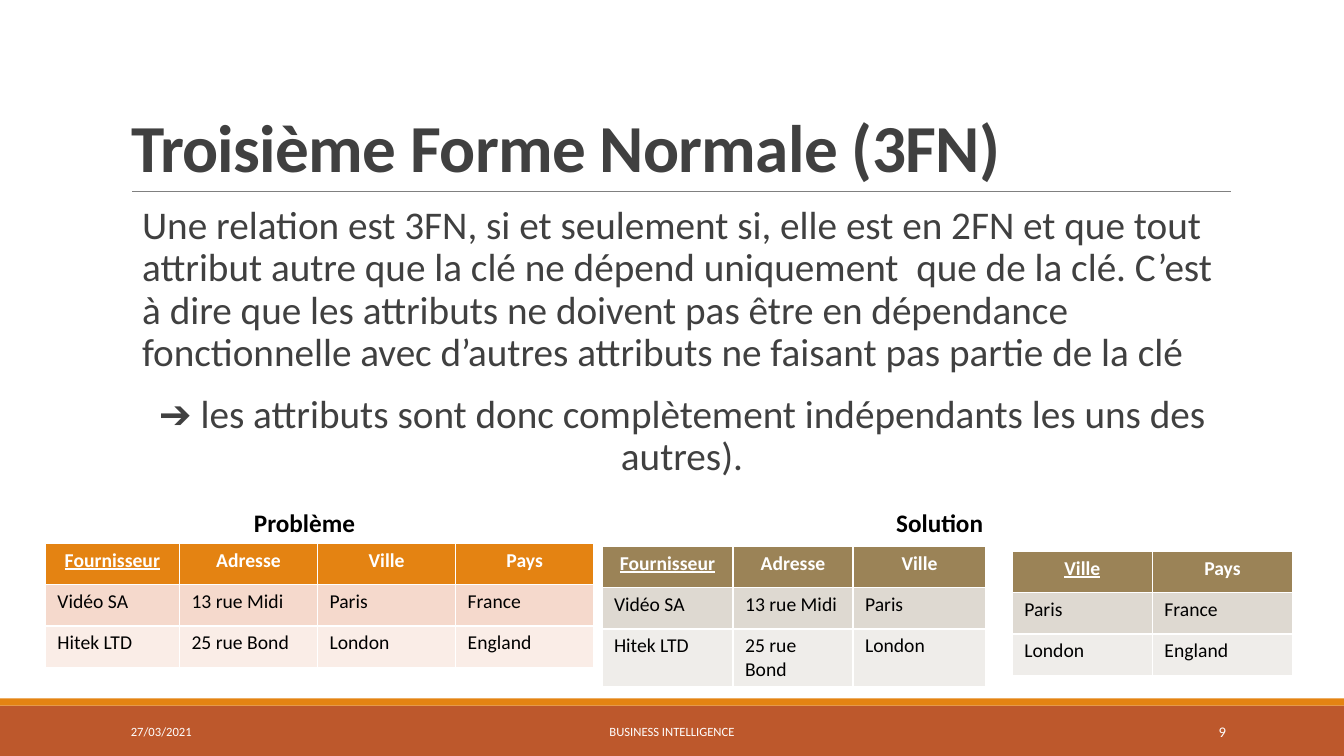
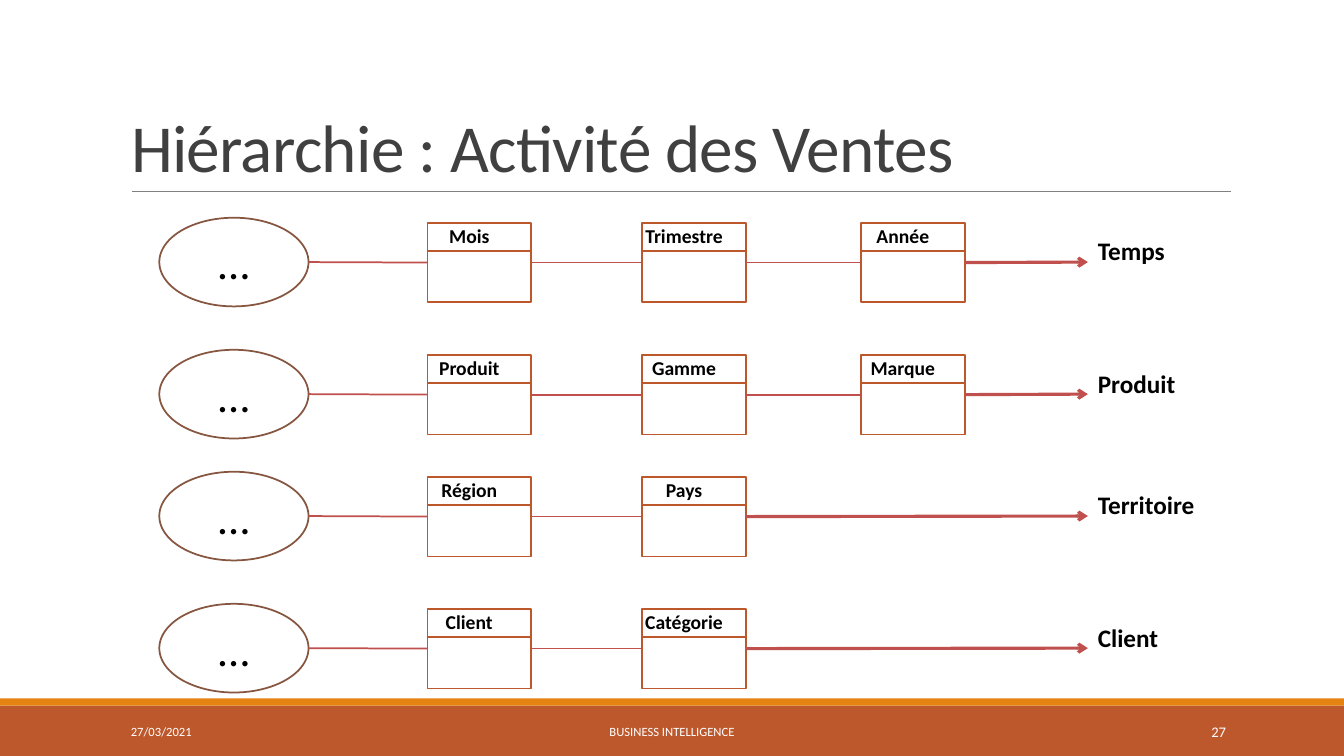
from lxml.etree import SubElement
from pptx import Presentation
from pptx.dml.color import RGBColor
from pptx.enum.shapes import MSO_CONNECTOR as Connector, MSO_SHAPE as Shape
from pptx.enum.text import MSO_ANCHOR as Anchor, MSO_AUTO_SIZE as AutoSize, PP_ALIGN as Align
from pptx.oxml.ns import qn
from pptx.util import Inches, Pt

# Content
DATE, COURSE = "27/03/2021", "BUSINESS INTELLIGENCE"

NORMAL_FORM = {"title": "Troisième Forme Normale (3FN)", "number": "9", "bold": True}
DEFINITION = (
    "Une relation est 3FN, si et seulement si, elle est en 2FN et que tout attribut autre "
    "que la clé ne dépend uniquement  que de la clé. C’est à dire que les attributs ne "
    "doivent pas être en dépendance fonctionnelle avec d’autres attributs ne faisant pas "
    "partie de la clé"
)
CONCLUSION = "➔ les attributs sont donc complètement indépendants les uns des autres)."
CAPTIONS = [("Problème", 2.42), ("Solution", 8.79)]
SUPPLIERS = [
    ("Fournisseur", "Adresse", "Ville", "Pays"),
    ("Vidéo SA", "13 rue Midi", "Paris", "France"),
    ("Hitek LTD", "25 rue Bond", "London", "England"),
]
TABLES = [
    {"rows": SUPPLIERS, "at": (0.45, 5.39), "widths": (1.33, 1.37, 1.37, 1.37),
     "fills": ("orange", "peach", "pale peach")},
    {"rows": [row[:3] for row in SUPPLIERS], "at": (5.97, 5.42), "widths": (1.3, 1.19, 1.32),
     "fills": ("olive", "sand", "pale sand")},
    {"rows": [row[2:] for row in SUPPLIERS], "at": (10.04, 5.47), "widths": (1.39, 1.39),
     "fills": ("olive", "sand", "pale sand")},
]

HIERARCHY = {"title": "Hiérarchie : Activité des Ventes", "number": "27", "bold": False}
DIMENSIONS = [
    ("Temps", 2.16, ("Mois", "Trimestre", "Année")),
    ("Produit", 3.47, ("Produit", "Gamme", "Marque")),
    ("Territoire", 4.68, ("Région", "Pays")),
    ("Client", 5.99, ("Client", "Catégorie")),
]

# Shared look
FONT = "Calibri"
COLORS = {
    "white": "FFFFFF", "black": "000000", "text": "404040", "rule": "808080",
    "rust": "BD582C", "orange": "E48312", "peach": "F5D9CC", "pale peach": "FAEDE7",
    "olive": "9B8357", "sand": "DED9D1", "pale sand": "EFEDEA",
    "brown": "865640", "red": "C0504D",
}
ROW_HEIGHT = 0.41

# Hierarchy geometry
OVAL_LEFT, OVAL_WIDTH, OVAL_HEIGHT = 1.58, 1.48, 0.88
LEVEL_LEFTS, LEVEL_WIDTH, LEVEL_HEIGHT = (4.24, 6.37, 8.54), 1.03, 0.79
NAME_HEIGHT, NAME_SHIFT = 0.28, 0.1
ARROW_END = 10.79


def color(name):
    return RGBColor.from_string(COLORS[name])


def inches(*lengths):
    return [Inches(length) for length in lengths]


def write(para, text, size, ink="black", bold=False, underline=False, **layout):
    for name, value in layout.items():
        setattr(para, name, value)
    span = para.add_run()
    span.text = text
    look = {"name": FONT, "size": Pt(size), "bold": bold, "underline": underline}
    for name, value in look.items():
        setattr(span.font, name, value)
    span.font.color.rgb = color(ink)
    return span


def set_frame(frame, anchor=Anchor.TOP, side=0.1, edge=0.05):
    look = {
        "word_wrap": True, "auto_size": AutoSize.NONE, "vertical_anchor": anchor,
        "margin_left": Inches(side), "margin_right": Inches(side),
        "margin_top": Inches(edge), "margin_bottom": Inches(edge),
    }
    for name, value in look.items():
        setattr(frame, name, value)
    return frame


def add_text(page, at, text, size, anchor=Anchor.TOP, side=0.1, **look):
    box = page.shapes.add_textbox(*inches(*at))
    frame = set_frame(box.text_frame, anchor, side)
    write(frame.paragraphs[0], text, size, **look)
    return frame


def add_shape(page, kind, at, fill, line=None):
    shape = page.shapes.add_shape(kind, *inches(*at))
    shape.shadow.inherit = False
    shape.fill.solid()
    shape.fill.fore_color.rgb = color(fill)
    if line:
        shape.line.color.rgb = color(line)
        shape.line.width = Pt(1.25)
    else:
        shape.line.fill.background()
    return shape


def add_line(page, ends, ink, width, arrow=False):
    line = page.shapes.add_connector(Connector.STRAIGHT, *inches(*ends))
    line.line.color.rgb = color(ink)
    line.line.width = Pt(width)
    if arrow:
        SubElement(line.line._get_or_add_ln(), qn("a:tailEnd"), type="arrow")
    SubElement(line._element.spPr, qn("a:effectLst"))
    return line


def add_page(deck, heading):
    page = deck.slides.add_slide(deck.slide_layouts[5])
    # Bands and title rule
    add_shape(page, Shape.RECTANGLE, (0, 7, 13.33, 0.5), "rust")
    add_shape(page, Shape.RECTANGLE, (0, 6.93, 13.33, 0.07), "orange")
    add_line(page, (1.31, 1.9, 12.21, 1.9), "rule", 0.5)
    # Title
    title = page.shapes.title
    title.left, title.top, title.width, title.height = inches(1.2, 0.31, 11, 1.59)
    frame = set_frame(title.text_frame, Anchor.BOTTOM)
    span = write(frame.paragraphs[0], heading["title"], 48, "text", heading["bold"],
                 alignment=Align.LEFT, line_spacing=0.85)
    span.font._element.set("spc", "-50")
    # Footer
    footer = [
        (DATE, 1.2, 2.7, 9, Align.LEFT),
        (COURSE, 4.03, 5.27, 9, Align.CENTER),
        (heading["number"], 10.83, 1.43, 10.5, Align.RIGHT),
    ]
    for text, left, width, size, align in footer:
        add_text(page, (left, 7.06, width, 0.4), text, size, Anchor.MIDDLE,
                 ink="white", alignment=align)
    return page


def add_grid(page, rows, at, widths, fills):
    size = (sum(widths), ROW_HEIGHT * len(rows))
    table = page.shapes.add_table(len(rows), len(widths), *inches(*at, *size)).table
    for column, width in zip(table.columns, widths):
        column.width = Inches(width)
    for r, (row, fill) in enumerate(zip(rows, fills)):
        table.rows[r].height = Inches(ROW_HEIGHT)
        header = r == 0
        for c, text in enumerate(row):
            cell = table.cell(r, c)
            cell.fill.solid()
            cell.fill.fore_color.rgb = color(fill)
            cell.margin_left = cell.margin_right = Inches(0.12)
            write(cell.text_frame.paragraphs[0], text, 14, "white" if header else "black",
                  bold=header, underline=header and c == 0,
                  alignment=Align.CENTER if header else Align.LEFT)


def add_level(page, name, left, top):
    box = add_shape(page, Shape.RECTANGLE, (left, top, LEVEL_WIDTH, LEVEL_HEIGHT),
                    "white", "rust")
    divider = top + NAME_HEIGHT
    add_line(page, (left, divider, left + LEVEL_WIDTH, divider), "rust", 1)
    add_text(page, (left - NAME_SHIFT, top - 0.04, LEVEL_WIDTH, 0.34), name, 14,
             side=0, bold=True, alignment=Align.CENTER)
    return box


def add_dimension(page, label, top, levels):
    middle = top + OVAL_HEIGHT / 2
    oval = add_shape(page, Shape.OVAL, (OVAL_LEFT, top, OVAL_WIDTH, OVAL_HEIGHT),
                     "white", "brown")
    write(set_frame(oval.text_frame, Anchor.MIDDLE).paragraphs[0], "…", 32,
          alignment=Align.CENTER)
    # Chain of levels, each joined to the one before
    before = None
    for name, left in zip(levels, LEVEL_LEFTS):
        box = add_level(page, name, left, top + 0.05)
        link = add_line(page, (OVAL_LEFT + OVAL_WIDTH, middle, left, middle), "red", 1.25)
        if before:
            link.begin_connect(before, 3)
        link.end_connect(box, 1)
        before = box
    # Arrow to the dimension's name
    arrow = add_line(page, (left + LEVEL_WIDTH, middle, ARROW_END, middle), "red", 2.25, True)
    arrow.begin_connect(before, 3)
    add_text(page, (ARROW_END, top + 0.13, 1.3, 0.4), label, 18, bold=True)


def build_normal_form(deck):
    page = add_page(deck, NORMAL_FORM)
    spacing = {"line_spacing": 0.9, "space_before": Pt(12), "space_after": Pt(2)}
    frame = add_text(page, (1.31, 1.99, 10.91, 2.9), DEFINITION, 28, side=0,
                     ink="text", **spacing)
    frame.paragraphs[0]._p.get_or_add_pPr().set("marL", str(Inches(0.1)))
    write(frame.add_paragraph(), CONCLUSION, 28, "text", alignment=Align.CENTER, **spacing)
    for table in TABLES:
        add_grid(page, **table)
    for caption, left in CAPTIONS:
        add_text(page, (left, 4.98, 1.53, 0.4), caption, 18, bold=True)


def build_hierarchy(deck):
    page = add_page(deck, HIERARCHY)
    for dimension in DIMENSIONS:
        add_dimension(page, *dimension)


def main():
    deck = Presentation()
    deck.slide_width, deck.slide_height = inches(13.33, 7.5)
    build_normal_form(deck)
    build_hierarchy(deck)
    deck.save("out.pptx")


if __name__ == "__main__":
    main()
